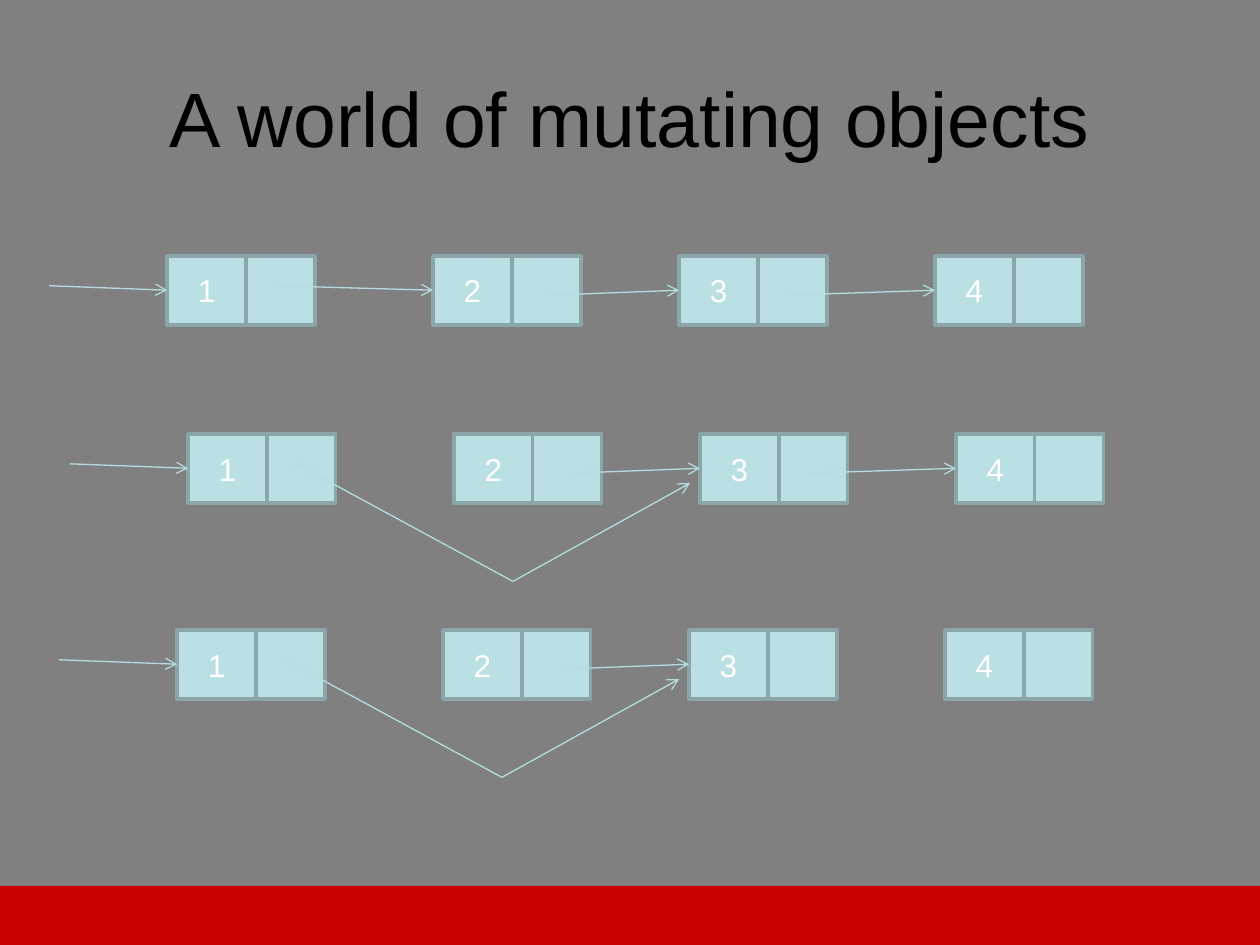
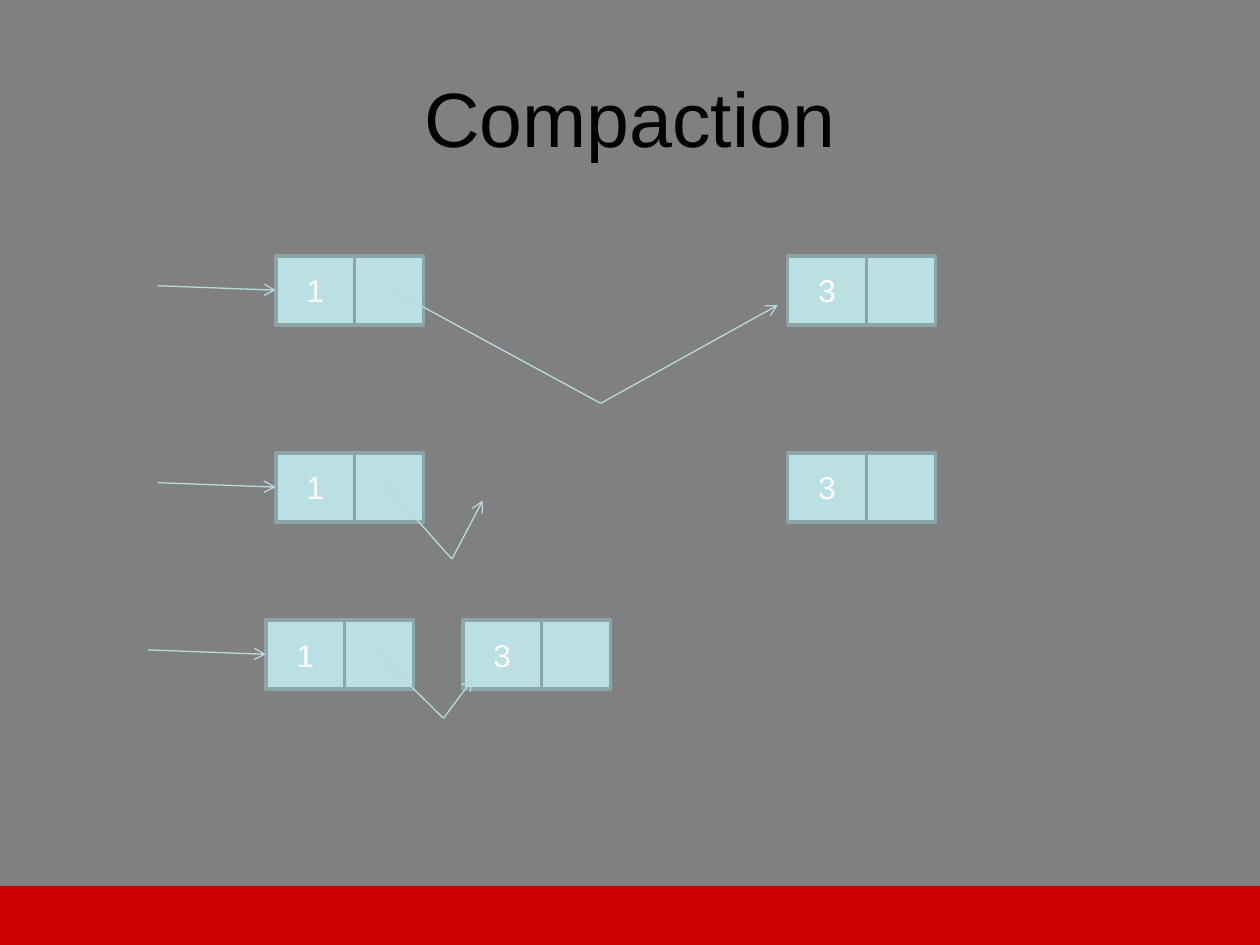
from dataclasses import dataclass

from lxml.etree import SubElement
from pptx import Presentation
from pptx.dml.color import RGBColor
from pptx.enum.shapes import MSO_CONNECTOR as Connector
from pptx.enum.shapes import MSO_SHAPE as Preset
from pptx.enum.text import MSO_ANCHOR as Anchor
from pptx.enum.text import PP_ALIGN as Align
from pptx.oxml.ns import qn
from pptx.shapes.shapetree import GroupShapes
from pptx.slide import Slide
from pptx.text.text import TextFrame
from pptx.util import Cm, Pt

FONT = "Arial"
GREY, BLACK, WHITE, RED = "808080", "000000", "FFFFFF", "CC0001"
CELL_FILL, CELL_EDGE, LINK = "BBE0E3", "8AA6A8", "B6DCDF"

SLIDE_WIDTH, SLIDE_HEIGHT, BAND_HEIGHT = 25.4, 19.05, 1.19
VALUE_WIDTH, POINTER_WIDTH, CELL_HEIGHT = 1.59, 1.39, 1.39

Point = tuple[float, float]
Path = tuple[Point, ...]

COLUMNS = {"1": 0.0, "2": 5.36, "3": 10.32, "4": 15.48}
MOVED_COLUMNS = {"1": 0.0, "3": 3.97}
LIVE_COLUMNS = {"1": COLUMNS["1"], "3": COLUMNS["3"]}

ENTRY_Y, TARGET_Y, LOW_Y = 0.6, 0.69, 0.79
POINTER_1: Point = (2.18, ENTRY_Y)
ROOT: Path = ((-2.38, ENTRY_Y), (0, TARGET_Y))
ONE_TO_TWO: Path = (POINTER_1, (COLUMNS["2"], TARGET_Y))
TWO_TO_THREE: Path = ((7.73, LOW_Y), (COLUMNS["3"], TARGET_Y))
THREE_TO_FOUR: Path = ((12.5, LOW_Y), (COLUMNS["4"], TARGET_Y))
BYPASS: Path = (POINTER_1, (6.55, 2.97), (10.12, 0.99))
REDIRECTED: Path = (POINTER_1, (3.55, 2.14), (4.17, 0.96))
COMPACTED: Path = (POINTER_1, (3.58, 1.98), (4.17, 1.19))


@dataclass(frozen=True)
class LinkedList:
    left: float
    top: float
    columns: dict[str, float]
    links: tuple[Path, ...]


@dataclass(frozen=True)
class Page:
    title: str
    lists: tuple[LinkedList, ...]


PAGES = (
    Page("A world of mutating objects", (
        LinkedList(3.37, 5.16, COLUMNS, (ROOT, ONE_TO_TWO, TWO_TO_THREE, THREE_TO_FOUR)),
        LinkedList(3.79, 8.75, COLUMNS, (ROOT, TWO_TO_THREE, THREE_TO_FOUR, BYPASS)),
        LinkedList(3.57, 12.7, COLUMNS, (ROOT, TWO_TO_THREE, BYPASS)),
    )),
    Page("Compaction", (
        LinkedList(5.56, 5.16, LIVE_COLUMNS, (ROOT, BYPASS)),
        LinkedList(5.56, 9.13, LIVE_COLUMNS, (ROOT, REDIRECTED)),
        LinkedList(5.36, 12.5, MOVED_COLUMNS, (ROOT, COMPACTED)),
    )),
)


def colour(value: str) -> RGBColor:
    return RGBColor.from_string(value)


def write(frame: TextFrame, text: str, size: float, ink: str) -> None:
    frame.word_wrap = True
    frame.vertical_anchor = Anchor.MIDDLE
    paragraph = frame.paragraphs[0]
    paragraph.alignment = Align.CENTER
    run = paragraph.add_run()
    run.text = text
    run.font.name = FONT
    run.font.size = Pt(size)
    run.font.color.rgb = colour(ink)


def draw_cell(shapes: GroupShapes, left: float, top: float, width: float, value: str = "") -> None:
    cell = shapes.add_shape(Preset.RECTANGLE, Cm(left), Cm(top), Cm(width), Cm(CELL_HEIGHT))
    cell.shadow.inherit = False
    cell.fill.solid()
    cell.fill.fore_color.rgb = colour(CELL_FILL)
    cell.line.color.rgb = colour(CELL_EDGE)
    cell.line.width = Pt(2)
    if value:
        write(cell.text_frame, value, 18, WHITE)


def draw_segment(shapes: GroupShapes, start: Point, end: Point, has_head: bool) -> None:
    segment = shapes.add_connector(Connector.STRAIGHT, *(Cm(length) for length in start + end))
    segment.line.color.rgb = colour(LINK)
    segment.line.width = Pt(0.75)
    if has_head:
        SubElement(segment.line._get_or_add_ln(), qn("a:tailEnd"), type="arrow")
    SubElement(segment._element.spPr, qn("a:effectLst"))


def draw_list(slide: Slide, linked: LinkedList) -> None:
    shapes = slide.shapes.add_group_shape().shapes
    for value, offset in linked.columns.items():
        left = linked.left + offset
        draw_cell(shapes, left, linked.top, VALUE_WIDTH, value)
        draw_cell(shapes, left + VALUE_WIDTH, linked.top, POINTER_WIDTH)
    for link in linked.links:
        stops = [(linked.left + x, linked.top + y) for x, y in link]
        for start, end in zip(stops, stops[1:]):
            draw_segment(shapes, start, end, end == stops[-1])


def draw_title(slide: Slide, text: str) -> None:
    title = slide.shapes.add_textbox(Cm(1.27), Cm(0.76), Cm(22.86), Cm(3.18))
    write(title.text_frame, text, 44, BLACK)


def draw_band(slide: Slide) -> None:
    band = slide.shapes.add_shape(
        Preset.RECTANGLE, Cm(0), Cm(SLIDE_HEIGHT - BAND_HEIGHT), Cm(SLIDE_WIDTH), Cm(BAND_HEIGHT)
    )
    band.shadow.inherit = False
    band.fill.solid()
    band.fill.fore_color.rgb = colour(RED)
    band.line.fill.background()


def draw_page(deck: Presentation, page: Page) -> None:
    slide = deck.slides.add_slide(deck.slide_layouts[6])
    draw_title(slide, page.title)
    for linked in page.lists:
        draw_list(slide, linked)
    draw_band(slide)


deck = Presentation()
deck.slide_width, deck.slide_height = Cm(SLIDE_WIDTH), Cm(SLIDE_HEIGHT)
backdrop = deck.slide_master.background.fill
backdrop.solid()
backdrop.fore_color.rgb = colour(GREY)
for page in PAGES:
    draw_page(deck, page)
deck.save("out.pptx")
